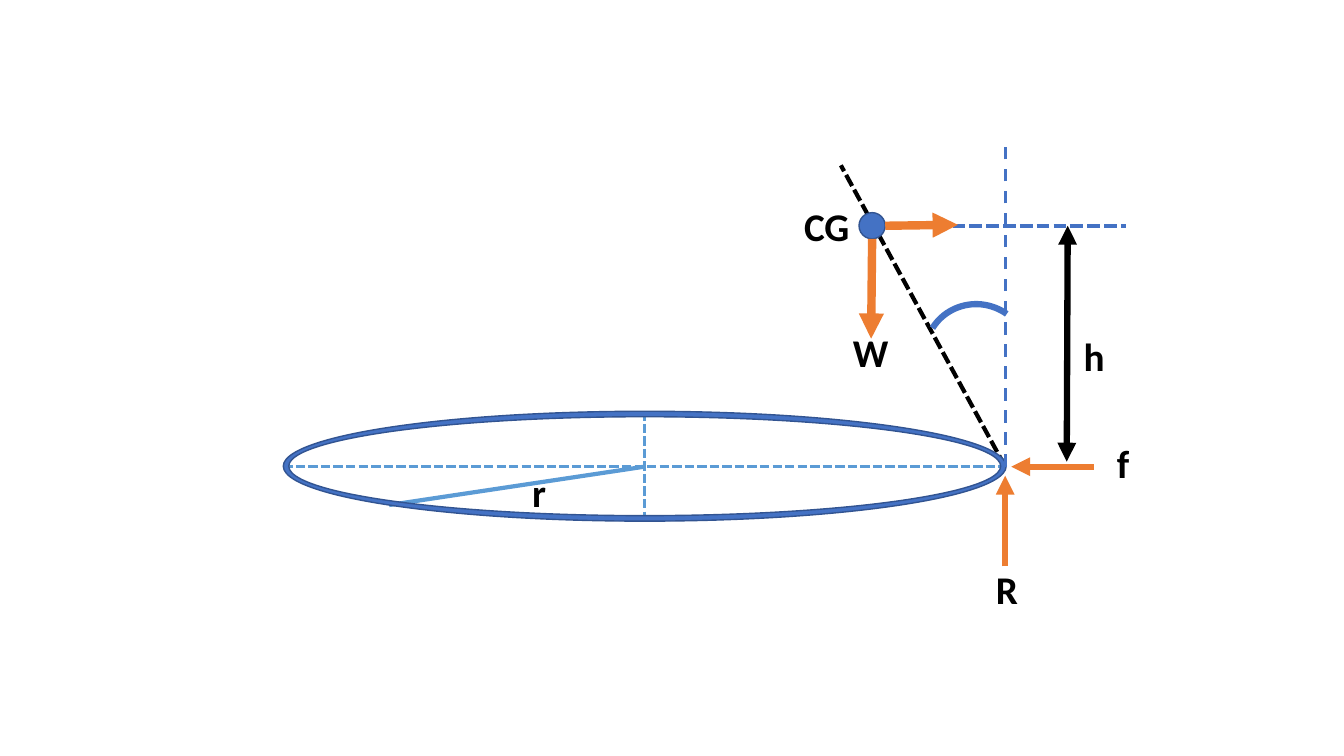
from lxml import etree
from pptx import Presentation
from pptx.dml.color import RGBColor
from pptx.enum import dml, shapes, text
from pptx.oxml import ns
from pptx.util import Inches, Pt

THEME = {
    "black": "000000", "blue": "4472C4", "edge": "325491",
    "light": "5B9BD5", "force": "ED7D31",
    "font": "Calibri", "size": 28,
}
DASH = dml.MSO_LINE.DASH
SYS_DASH = dml.MSO_LINE.SQUARE_DOT

CONTACT = (9.97, 4.63)
CENTRE = (6.39, 4.63)
RING = (2.81, 4.08, 7.17, 1.09)
CG = (8.65, 2.24)
CG_RADIUS = 0.13
ARC = (9.18, 3.01, 1.02, 1.04)
ARC_TURN = 301.9
LABEL_HEIGHT = 0.57

RING_LINES = [
    (CONTACT, (8.34, 1.64), "black", 3, {"dash": SYS_DASH}),
    ((RING[0], CENTRE[1]), CONTACT, "light", 2.25, {"dash": SYS_DASH}),
    ((CENTRE[0], RING[1]), (CENTRE[0], RING[1] + RING[3]), "light", 2.25,
     {"dash": SYS_DASH}),
    ((3.86, 5.01), CENTRE, "light", 3, {}),
]
VERTICAL = [(CONTACT, (CONTACT[0], 1.44), "blue", 2.25, {"dash": DASH})]
CG_RIGHT = (CG[0] + CG_RADIUS, CG[1])
FORCE_LINES = [
    ((10.59, CG[1]), (10.58, 4.58), "black", 4.5, {"ends": ("headEnd", "tailEnd")}),
    ((CG[0], CG[1] + CG_RADIUS), (8.64, 3.36), "force", 6, {"ends": ("tailEnd",)}),
    ((10.85, CONTACT[1]), (10.03, CONTACT[1]), "force", 4.5, {"ends": ("tailEnd",)}),
    (CG_RIGHT, (11.17, CG[1]), "blue", 3, {"dash": SYS_DASH}),
    (CG_RIGHT, (9.5, 2.23), "force", 6, {"ends": ("tailEnd",)}),
    ((CONTACT[0], 5.62), (CONTACT[0], 4.72), "force", 4.5, {"ends": ("tailEnd",)}),
]
LABELS = [
    ("r", 5.18, 4.6, 0.4, {}),
    ("h", 10.65, 3.25, 0.4, {}),
    ("W", 8.36, 3.21, 0.49, {}),
    ("f", 10.98, 4.31, 0.4, {}),
    ("CG", 7.85, 1.96, 0.7, {"align": text.PP_ALIGN.CENTER}),
    ("R", 9.78, 5.56, 0.4, {}),
]


def color(name):
    return RGBColor.from_string(THEME[name])


def add_line(s, start, end, name, width, dash=None, ends=()):
    points = [Inches(v) for v in (*start, *end)]
    sp = s.shapes.add_connector(shapes.MSO_CONNECTOR.STRAIGHT, *points)
    sp.line.color.rgb = color(name)
    sp.line.width = Pt(width)
    if dash is not None:
        sp.line.dash_style = dash
    ln = sp.line._get_or_add_ln()
    for end_name in ends:
        etree.SubElement(ln, ns.qn(f"a:{end_name}"), type="triangle")
    etree.SubElement(sp._element.spPr, ns.qn("a:effectLst"))


def add_outline(s, kind, box, line, width, fill=None):
    sp = s.shapes.add_shape(kind, *[Inches(v) for v in box])
    sp.shadow.inherit = False
    if fill:
        sp.fill.solid()
        sp.fill.fore_color.rgb = color(fill)
    else:
        sp.fill.background()
    sp.line.color.rgb = color(line)
    sp.line.width = Pt(width)
    return sp


def add_label(s, words, left, top, width, align=text.PP_ALIGN.LEFT):
    box = [Inches(v) for v in (left, top, width, LABEL_HEIGHT)]
    tf = s.shapes.add_textbox(*box).text_frame
    tf.word_wrap = True
    tf.auto_size = text.MSO_AUTO_SIZE.SHAPE_TO_FIT_TEXT
    p = tf.paragraphs[0]
    p.alignment = align
    r = p.add_run()
    r.text = words
    r.font.name = THEME["font"]
    r.font.size = Pt(THEME["size"])
    r.font.bold = True
    r.font.color.rgb = color("black")


def add_lines(s, lines):
    for start, end, name, width, style in lines:
        add_line(s, start, end, name, width, **style)


def main():
    prs = Presentation()
    prs.slide_width, prs.slide_height = Inches(13.33), Inches(7.5)
    s = prs.slides.add_slide(prs.slide_layouts[6])
    kinds = shapes.MSO_SHAPE

    add_lines(s, RING_LINES)
    ring = add_outline(s, kinds.DONUT, RING, "edge", 1, "blue")
    ring.adjustments[0] = 0.05
    add_lines(s, VERTICAL)

    arc = add_outline(s, kinds.ARC, ARC, "blue", 4.5)
    arc.adjustments[0] = 162
    arc.adjustments[1] = 2.085
    arc.rotation = ARC_TURN

    dot = (CG[0] - CG_RADIUS, CG[1] - CG_RADIUS, 2 * CG_RADIUS, 2 * CG_RADIUS)
    add_outline(s, kinds.OVAL, dot, "edge", 1, "blue")
    add_lines(s, FORCE_LINES)

    for words, left, top, width, style in LABELS:
        add_label(s, words, left, top, width, **style)

    prs.save("out.pptx")


if __name__ == "__main__":
    main()
